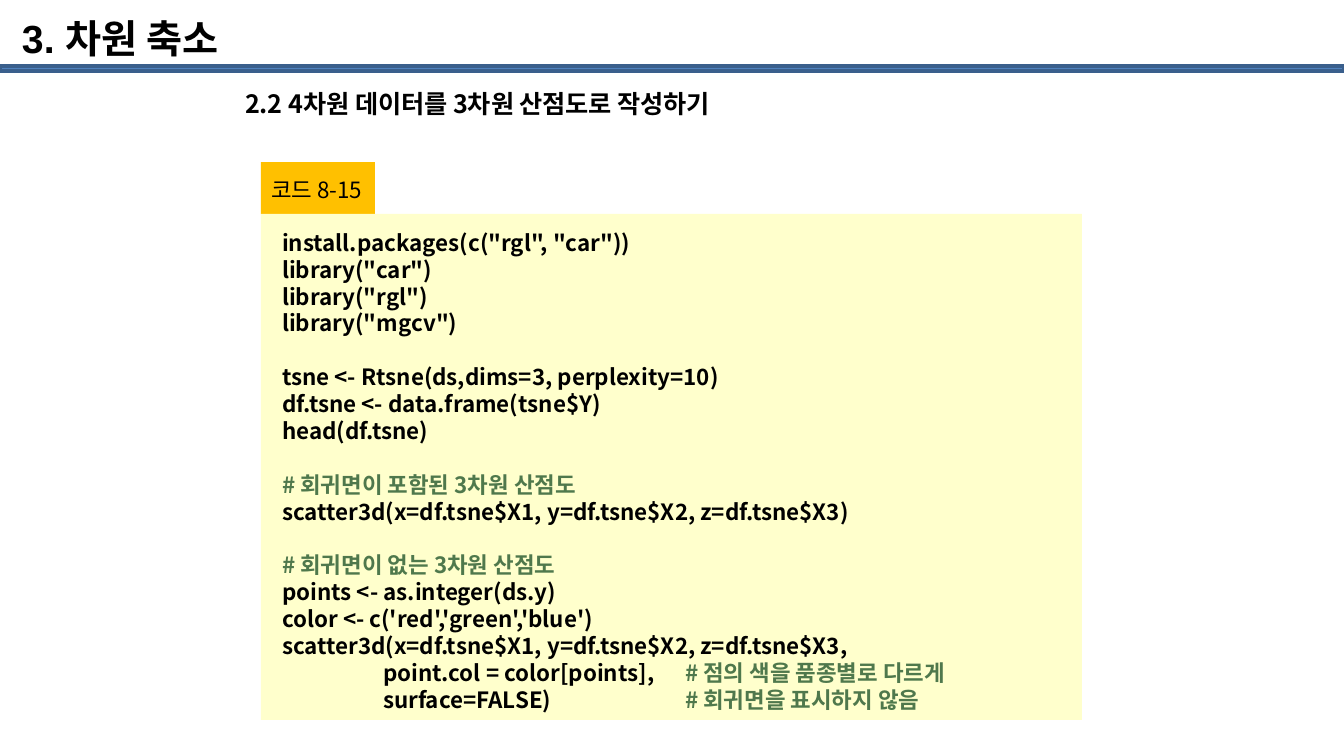
from dataclasses import dataclass
from typing import Optional

from lxml.etree import SubElement
from pptx import Presentation
from pptx.dml.color import RGBColor
from pptx.enum.shapes import MSO_SHAPE
from pptx.oxml.ns import qn
from pptx.util import Emu, Pt

PX_PER_INCH = 134.4
LINE_HEIGHT = 1.2
HANGUL_FONT = "Noto Sans CJK KR"

BLACK = RGBColor(0x00, 0x00, 0x00)
COMMENT_GREEN = RGBColor(0x4F, 0x78, 0x4C)
BAR_BLUE = RGBColor(0x4F, 0x81, 0xBD)
BAR_EDGE = RGBColor(0x3A, 0x5F, 0x8C)
LABEL_AMBER = RGBColor(0xFF, 0xC0, 0x00)
CODE_CREAM = RGBColor(0xFF, 0xFF, 0xCC)

CODE_TABS = (101, 403)
CODE = """\
install.packages(c("rgl", "car"))
library("car")
library("rgl")
library("mgcv")

tsne <- Rtsne(ds,dims=3, perplexity=10)
df.tsne <- data.frame(tsne$Y)
head(df.tsne)

# 회귀면이 포함된 3차원 산점도
scatter3d(x=df.tsne$X1, y=df.tsne$X2, z=df.tsne$X3)

# 회귀면이 없는 3차원 산점도
points <- as.integer(ds.y)
color <- c('red','green','blue')
scatter3d(x=df.tsne$X1, y=df.tsne$X2, z=df.tsne$X3,
	point.col = color[points],	# 점의 색을 품종별로 다르게
	surface=FALSE)	# 회귀면을 표시하지 않음"""


@dataclass
class Panel:
    x: int
    y: int
    w: int
    h: int
    fill: RGBColor
    edge: Optional[RGBColor] = None


@dataclass
class TextBlock:
    x: int
    y: int
    w: int
    h: int
    text: str
    size: float
    bold: bool = True
    font: str = HANGUL_FONT
    wrap: bool = True
    margin_x: int = 13
    margin_y: int = 7
    tabs: tuple[int, ...] = ()


def px(n: int) -> Emu:
    return Emu(round(n * 914400 / PX_PER_INCH))


def draw_panel(slide, panel: Panel) -> None:
    s = slide.shapes.add_shape(MSO_SHAPE.RECTANGLE, px(panel.x), px(panel.y),
                               px(panel.w), px(panel.h))
    s.shadow.inherit = False
    s.fill.solid()
    s.fill.fore_color.rgb = panel.fill
    if panel.edge is None:
        s.line.fill.background()
    else:
        s.line.color.rgb = panel.edge
        s.line.width = Pt(2)


def add_run(p, text: str, block: TextBlock, color: RGBColor) -> None:
    r = p.add_run()
    r.text = text
    r.font.size = Pt(block.size)
    r.font.bold = block.bold
    r.font.color.rgb = color
    r.font.name = block.font
    SubElement(r.font._element, qn("a:ea"), typeface=HANGUL_FONT)


def add_tab_stops(p, stops: tuple[int, ...]) -> None:
    tab_list = SubElement(p._p.get_or_add_pPr(), qn("a:tabLst"))
    for stop in stops:
        SubElement(tab_list, qn("a:tab"), pos=str(px(stop)), algn="l")


def draw_text(slide, block: TextBlock) -> None:
    sp = slide.shapes.add_textbox(px(block.x), px(block.y), px(block.w), px(block.h))
    tf = sp.text_frame
    tf.word_wrap = block.wrap
    tf.margin_left = tf.margin_right = px(block.margin_x)
    tf.margin_top = tf.margin_bottom = px(block.margin_y)
    pitch = Pt(block.size * LINE_HEIGHT)

    # A blank line between sections becomes space before the next section
    for i, section in enumerate(block.text.split("\n\n")):
        for j, line in enumerate(section.split("\n")):
            p = tf.paragraphs[0] if i == j == 0 else tf.add_paragraph()
            p.line_spacing = pitch
            if i and j == 0:
                p.space_before = pitch
            if "\t" in line:
                add_tab_stops(p, block.tabs)
            code, mark, comment = line.partition("#")
            if code:
                add_run(p, code, block, BLACK)
            if mark:
                add_run(p, mark + comment, block, COMMENT_GREEN)


PANELS = [
    Panel(0, 66, 1344, 5, BAR_BLUE, BAR_EDGE),
    Panel(261, 162, 114, 52, LABEL_AMBER),
    Panel(261, 214, 821, 506, CODE_CREAM),
]

TEXTS = [
    TextBlock(232, 81, 925, 45, "2.2 4차원 데이터를 3차원 산점도로 작성하기", 13.5),
    TextBlock(258, 169, 128, 40, "코드 8-15", 12, bold=False, wrap=False),
    TextBlock(269, 222, 782, 503, CODE, 12, tabs=CODE_TABS),
    TextBlock(13, 9, 1159, 75, "3. 차원 축소", 21, font="Arial",
              margin_x=9, margin_y=5),
]


def main() -> None:
    prs = Presentation()
    prs.slide_width, prs.slide_height = px(1344), px(756)
    slide = prs.slides.add_slide(prs.slide_layouts[6])

    # Title rule and code panels
    for panel in PANELS:
        draw_panel(slide, panel)

    # Headings, label and listing
    for block in TEXTS:
        draw_text(slide, block)

    prs.save("out.pptx")


if __name__ == "__main__":
    main()
